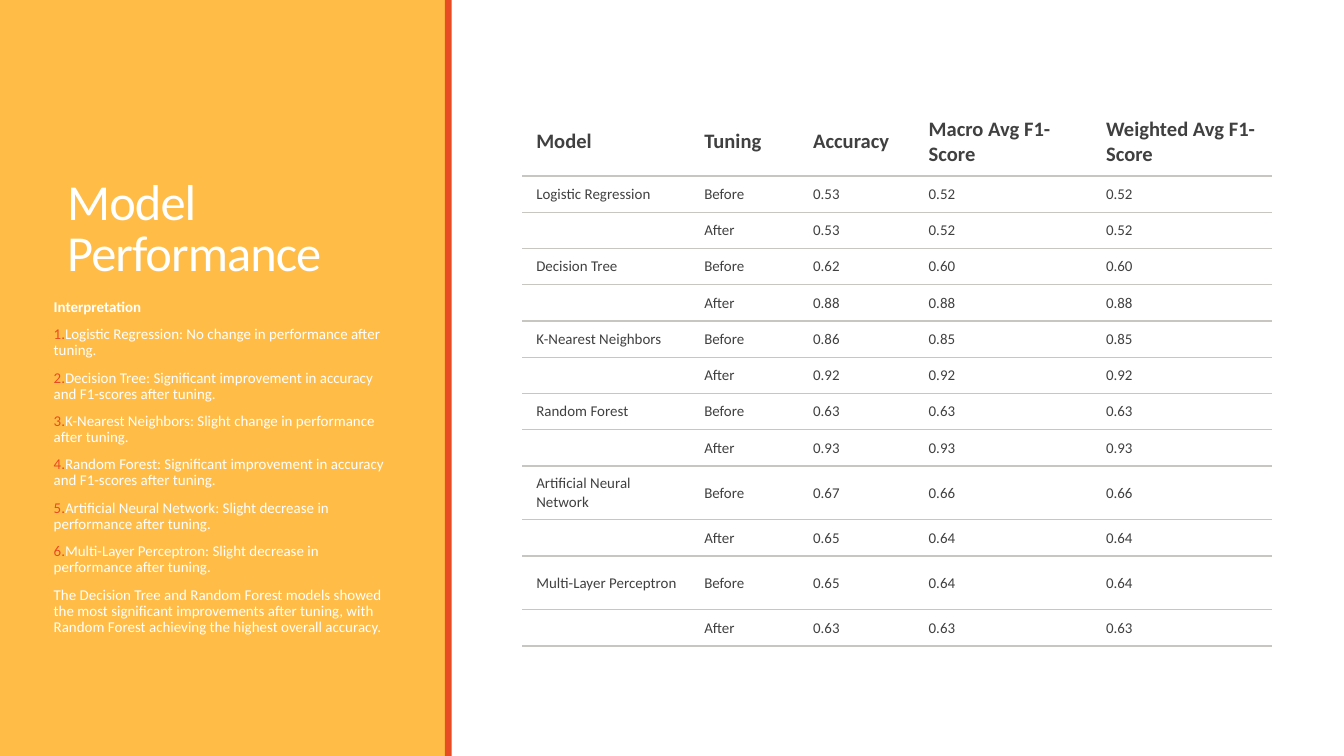
import pptx
import pptx.util
import pptx.dml.color
import pptx.enum.shapes
import pptx.enum.text
import pptx.oxml.ns
from lxml import etree

Inches, Pt = pptx.util.Inches, pptx.util.Pt
RGBColor = pptx.dml.color.RGBColor

AMBER = RGBColor(0xFF, 0xBD, 0x47)
ORANGE = RGBColor(0xE8, 0x4C, 0x22)
WHITE = RGBColor(0xFF, 0xFF, 0xFF)
DARK = RGBColor(0x40, 0x40, 0x40)
RULE = RGBColor(0xC7, 0xC6, 0xC1)
FONT = "Calibri"

TITLE = "Model Performance"
HEADING = "Interpretation"
FINDINGS = [
    "Logistic Regression: No change in performance after tuning.",
    "Decision Tree: Significant improvement in accuracy and F1-scores after tuning.",
    "K-Nearest Neighbors: Slight change in performance after tuning.",
    "Random Forest: Significant improvement in accuracy and F1-scores after tuning.",
    "Artificial Neural Network: Slight decrease in performance after tuning.",
    "Multi-Layer Perceptron: Slight decrease in performance after tuning.",
]
SUMMARY = (
    "The Decision Tree and Random Forest models showed the most significant improvements "
    "after tuning, with Random Forest achieving the highest overall accuracy."
)
HEADERS = ["Model", "Tuning", "Accuracy", "Macro Avg F1-Score", "Weighted Avg F1-Score"]
SCORES = [
    ("Logistic Regression", ("0.53", "0.52", "0.52"), ("0.53", "0.52", "0.52")),
    ("Decision Tree", ("0.62", "0.60", "0.60"), ("0.88", "0.88", "0.88")),
    ("K-Nearest Neighbors", ("0.86", "0.85", "0.85"), ("0.92", "0.92", "0.92")),
    ("Random Forest", ("0.63", "0.63", "0.63"), ("0.93", "0.93", "0.93")),
    ("Artificial Neural Network", ("0.67", "0.66", "0.66"), ("0.65", "0.64", "0.64")),
    ("Multi-Layer Perceptron", ("0.65", "0.64", "0.64"), ("0.63", "0.63", "0.63")),
]

WIDTH = 10
HEIGHT = WIDTH * 9 / 16
PANEL_WIDTH, STRIPE_WIDTH = 3.32, 0.05
TEXT_LEFT, TEXT_WIDTH = 0.4, 2.53
COLUMN_WIDTHS = [1.25, 0.81, 0.86, 1.32, 1.33]
HEADER_HEIGHT, ROW_HEIGHT, TALL_ROW_HEIGHT = 0.51, 0.27, 0.4
LONG_NAME = 20


def add_band(page, left, width, color):
    band = page.shapes.add_shape(
        pptx.enum.shapes.MSO_SHAPE.RECTANGLE,
        Inches(left), 0, Inches(width), Inches(HEIGHT),
    )
    band.shadow.inherit = False
    band.fill.solid()
    band.fill.fore_color.rgb = color
    band.line.fill.background()
    return band


def style(para, size, color, bold=False):
    para.font.name = FONT
    para.font.size = Pt(size)
    para.font.bold = bold
    para.font.color.rgb = color


def add_element(parent, tag, **attributes):
    return etree.SubElement(parent, pptx.oxml.ns.qn(tag), attributes)


def number(para, start):
    properties = para.font._element.getparent()
    properties.set("marL", "0")
    properties.set("indent", "0")
    color = add_element(properties, "a:buClr")
    add_element(color, "a:srgbClr", val=str(ORANGE))
    bullet = add_element(properties, "a:buAutoNum", type="arabicPeriod", startAt=str(start))
    for element in (color, bullet):
        para.font._element.addprevious(element)


def rule(cell, sides):
    properties = cell._tc.get_or_add_tcPr()
    for place, side in enumerate(sides):
        line = add_element(properties, side, w=str(Pt(0.75)))
        fill = add_element(line, "a:solidFill")
        add_element(fill, "a:srgbClr", val=str(RULE))
        properties.insert(place, line)


def add_title(page):
    title = page.shapes.title
    title.left, title.top = Inches(TEXT_LEFT), Inches(0.42)
    title.width, title.height = Inches(TEXT_WIDTH), Inches(1.73)
    frame = title.text_frame
    frame.text = TITLE
    frame.word_wrap = True
    frame.vertical_anchor = pptx.enum.text.MSO_ANCHOR.BOTTOM
    para = frame.paragraphs[0]
    para.alignment = pptx.enum.text.PP_ALIGN.LEFT
    para.line_spacing = 0.85
    style(para, 27, WHITE)
    para.font._element.set("spc", "-50")
    return title


def add_interpretation(page):
    box = page.shapes.add_textbox(
        Inches(TEXT_LEFT), Inches(2.18), Inches(TEXT_WIDTH), Inches(2.74)
    )
    frame = box.text_frame
    frame.word_wrap = True
    frame.margin_left = frame.margin_right = 0
    frame.text = "\n".join([HEADING, *FINDINGS, SUMMARY])
    for index, para in enumerate(frame.paragraphs):
        para.line_spacing = 0.9
        para.space_after = Pt(6)
        style(para, 8, WHITE, bold=index == 0)
        if 1 <= index <= len(FINDINGS):
            number(para, index)


def add_scores(page):
    rows, heights = [HEADERS], [HEADER_HEIGHT]
    for model, before, after in SCORES:
        rows += [(model, "Before", *before), ("", "After", *after)]
        heights += [TALL_ROW_HEIGHT if len(model) > LONG_NAME else ROW_HEIGHT, ROW_HEIGHT]
    table = page.shapes.add_table(
        len(rows), len(HEADERS), Inches(3.89), Inches(0.8),
        Inches(sum(COLUMN_WIDTHS)), Inches(sum(heights)),
    ).table
    table.first_row = table.horz_banding = False
    for column, width in zip(table.columns, COLUMN_WIDTHS):
        column.width = Inches(width)
    for index, (values, height) in enumerate(zip(rows, heights)):
        table.rows[index].height = Inches(height)
        header = index == 0
        for cell, value in zip(table.rows[index].cells, values):
            cell.text = value
            cell.vertical_anchor = pptx.enum.text.MSO_ANCHOR.MIDDLE
            cell.margin_left, cell.margin_right = Inches(0.1), Inches(0.08)
            cell.fill.background()
            style(cell.text_frame.paragraphs[0], 11 if header else 8, DARK, bold=header)
            rule(cell, ["a:lnB"] if header else ["a:lnT", "a:lnB"])


def main():
    deck = pptx.Presentation()
    deck.slide_width, deck.slide_height = Inches(WIDTH), Inches(HEIGHT)
    page = deck.slides.add_slide(deck.slide_layouts[5])
    panel = add_band(page, 0, PANEL_WIDTH, AMBER)
    title = add_title(page)
    title.element.addprevious(panel.element)
    add_interpretation(page)
    add_band(page, PANEL_WIDTH - 0.01, STRIPE_WIDTH, ORANGE)
    add_scores(page)
    deck.save("out.pptx")


if __name__ == "__main__":
    main()
